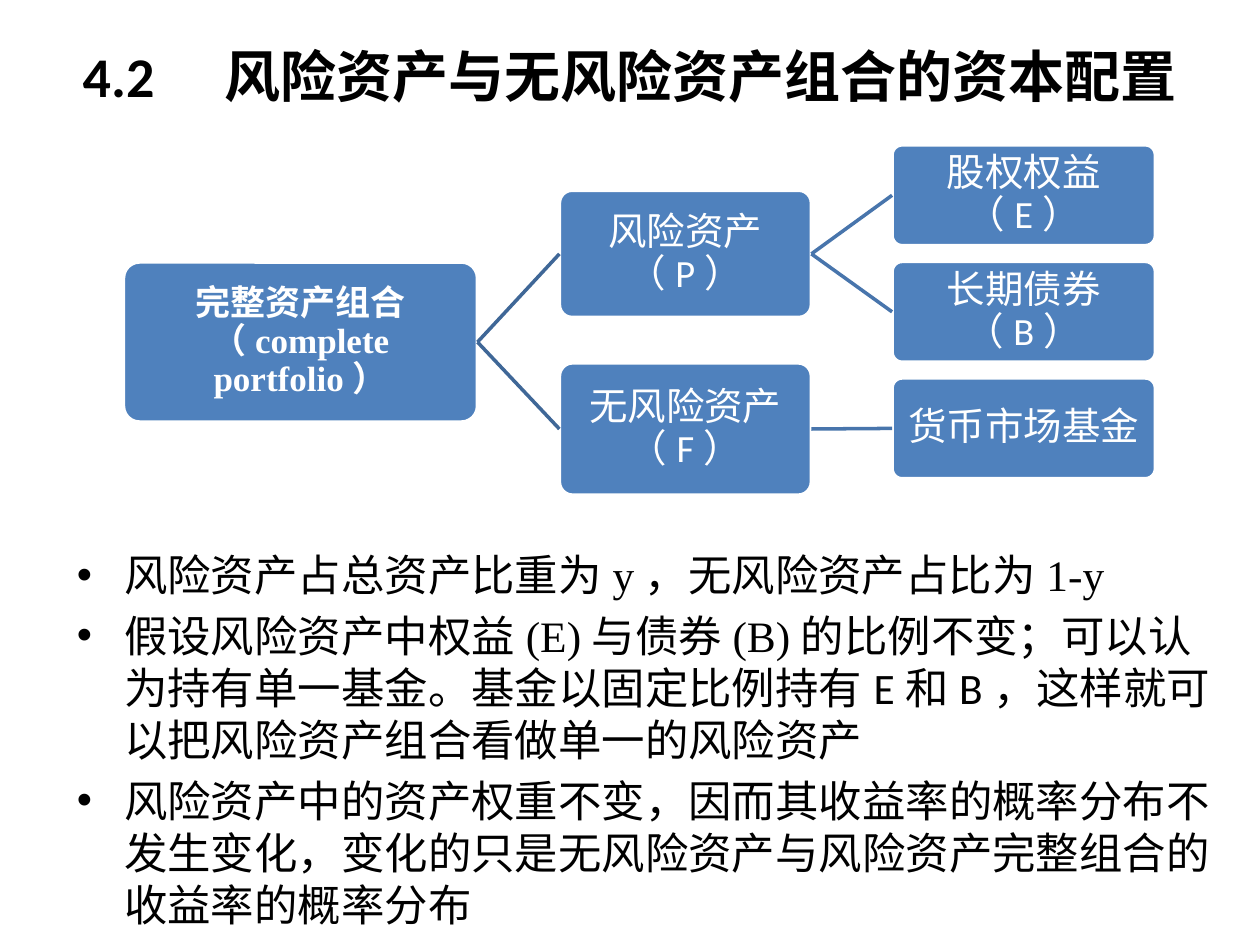
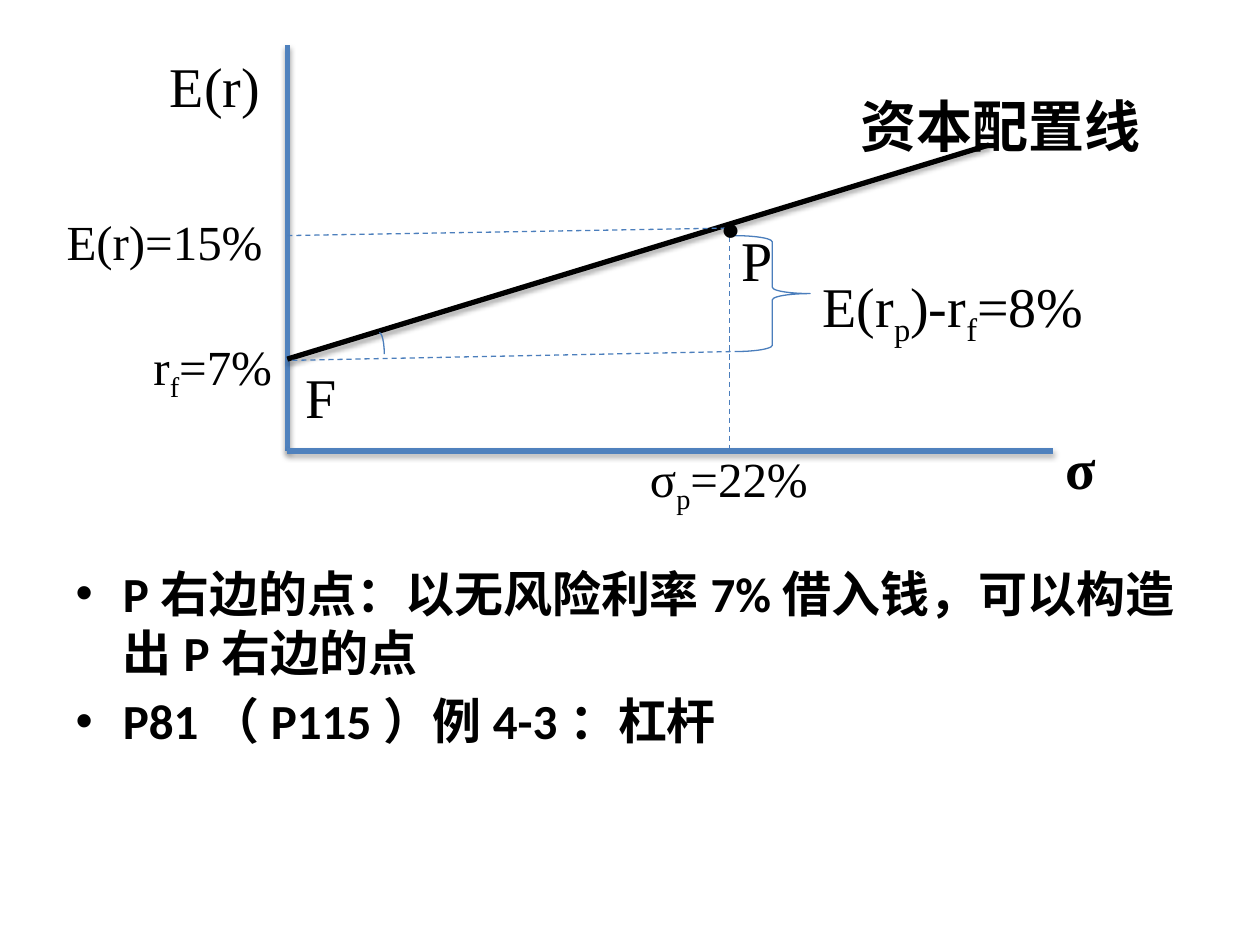
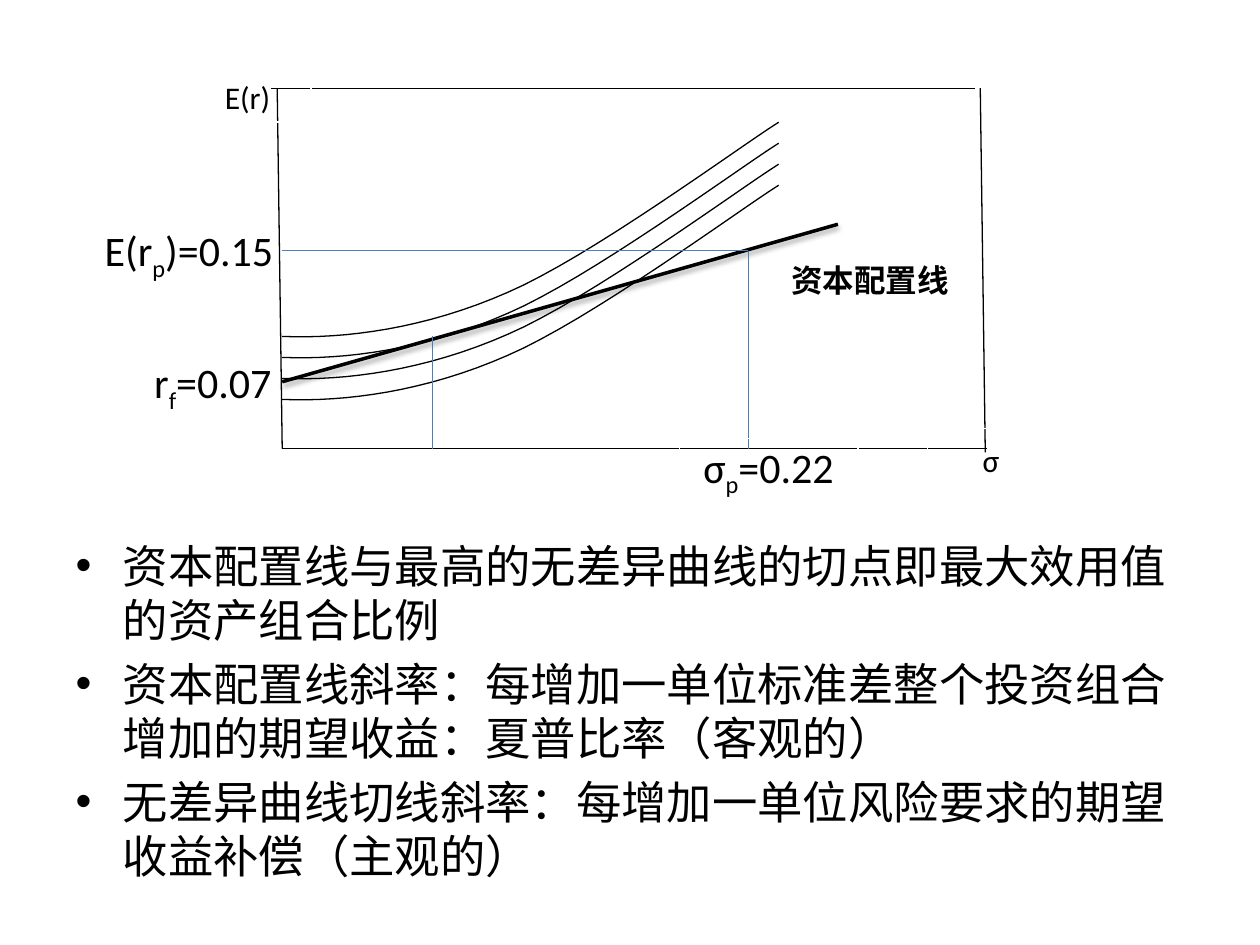
from dataclasses import dataclass

from lxml import etree
from pptx import Presentation
from pptx.dml.color import RGBColor
from pptx.enum.dml import MSO_LINE
from pptx.enum.shapes import MSO_CONNECTOR, MSO_SHAPE
from pptx.enum.text import MSO_ANCHOR, MSO_AUTO_SIZE, PP_ALIGN
from pptx.oxml.ns import qn
from pptx.util import Inches, Pt

STRAIGHT = MSO_CONNECTOR.STRAIGHT
DASH = MSO_LINE.DASH
ROUNDED, RECTANGLE = MSO_SHAPE.ROUNDED_RECTANGLE, MSO_SHAPE.RECTANGLE
BRACE, ARC = MSO_SHAPE.RIGHT_BRACE, MSO_SHAPE.ARC
MIDDLE, TOP = MSO_ANCHOR.MIDDLE, MSO_ANCHOR.TOP
CENTER, LEFT = PP_ALIGN.CENTER, PP_ALIGN.LEFT
NO_FIT, GROW = MSO_AUTO_SIZE.NONE, MSO_AUTO_SIZE.SHAPE_TO_FIT_TEXT

# The slide is a grid of 10 columns by 7.5 rows
SLIDE_WIDTH, SLIDE_HEIGHT = Inches(10), Inches(7.5)
COLUMN, ROW = SLIDE_WIDTH / 10, SLIDE_HEIGHT / 7.5
LEFT_SIDE, RIGHT_SIDE = 1, 3  # connection sites of a box


@dataclass(frozen=True)
class Theme:
    sans: str = "Calibri"
    serif: str = "Times New Roman"
    ink: RGBColor = RGBColor(0x00, 0x00, 0x00)
    paper: RGBColor = RGBColor(0xFF, 0xFF, 0xFF)
    blue: RGBColor = RGBColor(0x4F, 0x81, 0xBD)
    guide: RGBColor = RGBColor(0x4B, 0x7E, 0xBC)
    root_link: RGBColor = RGBColor(0x3F, 0x67, 0x97)
    branch_link: RGBColor = RGBColor(0x48, 0x75, 0xAC)
    title: float = 32
    large: float = 32
    medium: float = 28
    label: float = 24
    node: float = 22
    root: float = 20
    small: float = 18
    dot: float = 66
    thin: float = 0.75
    link: float = 2
    thick: float = 3


THEME = Theme()


@dataclass(frozen=True)
class Frame:
    """A box on the slide grid, in columns and rows."""
    left: float
    top: float
    width: float
    height: float

    def point(self, x, y):
        return round((self.left + x) * COLUMN), round((self.top + y) * ROW)

    def box(self, x, y, width, height):
        return (*self.point(x, y), round(width * COLUMN), round(height * ROW))


# ---- Shared parts ----
def write(paragraph, text, size, color=THEME.ink, bold=False,
          fonts=(THEME.sans, THEME.serif), align=LEFT):
    """Write text in which | switches the font and _ lowers the next letter."""
    paragraph.alignment = align
    paragraph.font.size = Pt(size)
    paragraph.font.bold = bold
    paragraph.font.color.rgb = color
    paragraph.font.name = fonts[0]
    for index, part in enumerate(text.split("|")):
        first, *lowered = part.split("_")
        pieces = [(first, False)]
        for piece in lowered:
            pieces += [(piece[0], True), (piece[1:], False)]
        for piece, is_subscript in pieces:
            if not piece:
                continue
            run = paragraph.add_run()
            run.text = piece
            if index % 2:
                run.font.name = fonts[1]
            if is_subscript:
                run._r.get_or_add_rPr().set("baseline", "-25000")


def add_line(slide, frame, start, end, color, width, dashed=False, shadow=False):
    line = slide.shapes.add_connector(
        STRAIGHT, *frame.point(*start), *frame.point(*end))
    line.line.color.rgb = color
    line.line.width = Pt(width)
    if dashed:
        line.line.dash_style = DASH
    set_effects(line, shadow)
    return line


def set_effects(line, shadow):
    effects = etree.SubElement(line._element.spPr, qn("a:effectLst"))
    if shadow:
        outer = etree.SubElement(
            effects, qn("a:outerShdw"), blurRad=str(Pt(3.1)),
            dist=str(Pt(1.8)), dir="5400000", rotWithShape="0")
        color = etree.SubElement(outer, qn("a:srgbClr"), val="000000")
        etree.SubElement(color, qn("a:alpha"), val="35000")


def add_outline(slide, kind, box, color):
    shape = slide.shapes.add_shape(kind, *box)
    shape.shadow.inherit = False
    shape.fill.background()
    shape.line.color.rgb = color
    shape.line.width = Pt(THEME.thin)
    return shape


def add_text(slide, box, text, size, font, bold=False):
    text_frame = slide.shapes.add_textbox(*box).text_frame
    text_frame.word_wrap = True
    text_frame.auto_size = GROW
    write(text_frame.paragraphs[0], text, size, bold=bold, fonts=(font, font))


def add_framed_label(slide, box, text, size):
    shape = add_outline(slide, RECTANGLE, box, THEME.paper)
    text_frame = shape.text_frame
    text_frame.word_wrap = True
    text_frame.vertical_anchor = MIDDLE
    write(text_frame.paragraphs[0], text, size, align=CENTER)


def place(shape, frame):
    shape.left, shape.top, shape.width, shape.height = frame.box(
        0, 0, frame.width, frame.height)


def fill_body(slide, frame, items, size, bold=False):
    body = slide.placeholders[1]
    place(body, frame)
    text_frame = body.text_frame
    text_frame.auto_size = NO_FIT
    text_frame.vertical_anchor = TOP
    for index, item in enumerate(items):
        paragraph = text_frame.add_paragraph() if index else text_frame.paragraphs[0]
        write(paragraph, item, size, bold=bold)


def new_slide(presentation, title=None):
    slide = presentation.slides.add_slide(presentation.slide_layouts[1])
    heading = slide.shapes.title
    if title is None:
        heading._element.getparent().remove(heading._element)
    else:
        place(heading, Frame(0.5, -0.03, 9, 1.25))
        heading.text_frame.auto_size = NO_FIT
        heading.text_frame.vertical_anchor = MIDDLE
        write(heading.text_frame.paragraphs[0], title, THEME.title,
              bold=True, align=CENTER)
    return slide


# ---- Tree of assets ----
def add_node(slide, box, text, size=THEME.node, bold=False):
    node = slide.shapes.add_shape(ROUNDED, *box)
    node.adjustments[0] = 0.1
    node.shadow.inherit = False
    node.fill.solid()
    node.fill.fore_color.rgb = THEME.blue
    node.line.color.rgb = THEME.paper
    node.line.width = Pt(THEME.link)
    text_frame = node.text_frame
    text_frame.word_wrap = True
    text_frame.vertical_anchor = MIDDLE
    text_frame.margin_left = text_frame.margin_right = Inches(0.05)
    text_frame.margin_top = text_frame.margin_bottom = Inches(0.05)
    paragraph = text_frame.paragraphs[0]
    paragraph.line_spacing = 0.9
    write(paragraph, text, size, THEME.paper, bold, align=CENTER)
    return node


def link_nodes(slide, frame, parent, child, color):
    link = add_line(slide, frame, (0, 0), (1, 1), color, THEME.link)
    link.begin_connect(parent, RIGHT_SIDE)
    link.end_connect(child, LEFT_SIDE)


def asset_tree(slide, frame):
    root = add_node(slide, frame.box(0, 0.93, 2.81, 1.27),
                    "完整资产组合|（complete portfolio|）", THEME.root, True)
    branches = [
        ("风险资产（P）", 0.36, 1.01, ["股权权益（E）", "长期债券（B）"]),
        ("无风险资产（F）", 1.73, 1.05, ["货币市场基金"]),
    ]
    leaf_height, leaf_step = 0.8, 0.925
    leaf_top = 0
    for name, top, height, leaves in branches:
        branch = add_node(slide, frame.box(3.46, top, 2, height), name)
        link_nodes(slide, frame, root, branch, THEME.root_link)
        for leaf_name in leaves:
            leaf = add_node(
                slide, frame.box(6.1, leaf_top, 2.09, leaf_height), leaf_name)
            link_nodes(slide, frame, branch, leaf, THEME.branch_link)
            leaf_top += leaf_step


# ---- Capital allocation line ----
def allocation_chart(slide, frame):
    corner = (0, frame.height)
    risky_x, risky_y = 3.51, 1.45

    # Axes and allocation line
    for start, end, color in [
        ((0, 0), corner, THEME.blue),
        (corner, (frame.width, frame.height), THEME.blue),
        ((0, 2.49), (5.57, 0.79), THEME.ink),
    ]:
        add_line(slide, frame, start, end, color, THEME.thick, shadow=True)

    # Dashed guides
    for start, end in [
        ((0, 1.51), (risky_x, risky_y)),
        ((risky_x, risky_y), (risky_x, frame.height)),
        ((0.04, 2.5), (3.55, 2.43)),
    ]:
        add_line(slide, frame, start, end, THEME.guide, THEME.thin, dashed=True)

    # Brace for the premium, arc for the slope
    add_outline(slide, BRACE, frame.box(3.55, 1.51, 0.6, 0.92), THEME.guide)
    add_outline(slide, ARC, frame.box(0.69, 2.28, 0.08, 0.34), THEME.guide)

    # Labels
    large, medium = (THEME.large, 0.53), (THEME.medium, 0.48)
    for text, x, y, width, (size, height), bold in [
        ("E(r)", -1.03, 0, 1.29, large, False),
        ("σ", frame.width, 3.03, 1.29, large, True),
        ("E(r)=15%", -1.85, 1.27, 1.93, medium, False),
        ("r_f=7%", -1.16, 2.26, 1.93, medium, False),
        ("P", risky_x, 1.38, 1.29, large, False),
        ("F", 0.05, 2.47, 1.29, large, False),
        ("E(r_p)-r_f=8%", 4.15, 1.75, 3.21, large, False),
        ("σ_p=22%", 2.78, 3.15, 1.76, medium, False),
        ("资本配置线", 4.45, 0.32, 2.88, large, True),
    ]:
        add_text(slide, frame.box(x, y, width, height), text, size,
                 THEME.serif, bold)
    add_text(slide, frame.box(3.31, 0.56, 0.27, 1.21), ".", THEME.dot, THEME.sans)


# ---- Indifference curves ----
def bezier(start, first, second, end, steps=16):
    """Points along a cubic curve, without its start."""
    points = []
    for step in range(1, steps + 1):
        t = step / steps
        weights = ((1 - t) ** 3, 3 * t * (1 - t) ** 2, 3 * t * t * (1 - t), t ** 3)
        points.append(tuple(
            sum(weight * value for weight, value in zip(weights, values))
            for values in zip(start, first, second, end)))
    return points


def add_curve(slide, frame, drop):
    start, bend, end = (0, 1.97), (1.79, 1.62), (3.94, 0.27)
    points = bezier(start, (0.5, 1.99), (1.13, 1.91), bend)
    points += bezier(bend, (2.44, 1.34), (3.58, 0.5), end)
    builder = slide.shapes.build_freeform(*frame.point(0, start[1] + drop))
    builder.add_line_segments(
        [frame.point(x, y + drop) for x, y in points], close=False)
    curve = builder.convert_to_shape()
    curve.shadow.inherit = False
    curve.fill.background()
    curve.line.color.rgb = THEME.ink
    curve.line.width = Pt(THEME.thin)


def indifference_chart(slide, frame):
    bottom = frame.height
    risky_x, risky_y = 3.7, 1.29

    # Return labels lie under the axes
    add_framed_label(slide, frame.box(-1.18, 2.11, 1.26, 0.5), "r_f=0.07", THEME.label)
    add_framed_label(slide, frame.box(-1.57, 1.06, 1.66, 0.5), "E(r_p)=0.15", THEME.label)

    # Four sides of the plot
    for start, end in [
        ((-0.04, 0), (0, bottom)),
        ((0, bottom), (5.59, bottom)),
        ((5.54, 0), (5.58, 2.89)),
        ((-0.09, 0), (5.5, 0)),
    ]:
        add_line(slide, frame, start, end, THEME.ink, THEME.thin)
    add_framed_label(slide, frame.box(-0.78, -0.13, 1.01, 0.4), "E(r)", THEME.small)
    add_framed_label(slide, frame.box(5.12, 2.7, 1.01, 0.5), "σ", THEME.small)

    # Allocation line and evenly spaced curves
    add_line(slide, frame, (0, 2.33), (4.41, 1.08), THEME.ink, THEME.link, shadow=True)
    for index in range(4):
        add_curve(slide, frame, index / 6)

    # Guides
    for start, end in [
        ((0, risky_y), (risky_x, risky_y)),
        ((risky_x, risky_y), (risky_x, bottom)),
        ((1.19, 1.97), (1.19, bottom)),
    ]:
        add_line(slide, frame, start, end, THEME.guide, THEME.thin)
    add_framed_label(slide, frame.box(3.15, 2.78, 1.42, 0.5), "σ_p=0.22", THEME.label)
    add_text(slide, frame.box(3.94, 1.32, 1.56, 0.4), "资本配置线",
             THEME.small, THEME.sans, True)


# ---- Slides ----
def tree_slide(presentation):
    slide = new_slide(presentation, "4.2\u3000风险资产与无风险资产组合的资本配置")
    asset_tree(slide, Frame(0.98, 1.15, 8.19, 2.78))
    fill_body(slide, Frame(0.51, 4.3, 9.21, 2.76), [
        "风险资产占总资产比重为|y|，无风险资产占比为|1-y",
        "假设风险资产中权益|(E)|与债券|(B)|的比例不变；可以认为持有单一基金。"
        "基金以固定比例持有E和B，这样就可以把风险资产组合看做单一的风险资产",
        "|风险资产中的资产权重不变，因而其收益率的概率分布不发生变化，"
        "变化的只是无风险资产与风险资产完整组合的收益率的概率分布",
    ], 24.8)


def allocation_slide(presentation):
    slide = new_slide(presentation)
    fill_body(slide, Frame(0.5, 4.42, 9, 3.19), [
        "P右边的点：以无风险利率7%借入钱，可以构造出P右边的点",
        "P81（P115）例4-3：杠杆",
    ], THEME.medium, bold=True)
    allocation_chart(slide, Frame(2.28, 0.36, 6.08, 3.22))


def indifference_slide(presentation):
    slide = new_slide(presentation)
    fill_body(slide, Frame(0.5, 4.22, 9.07, 2.76), [
        "资本配置线与最高的无差异曲线的切点即最大效用值的资产组合比例",
        "资本配置线斜率：每增加一单位标准差整个投资组合增加的期望收益：夏普比率（客观的）",
        "无差异曲线切线斜率：每增加一单位风险要求的期望收益补偿（主观的）",
    ], 25.9)
    indifference_chart(slide, Frame(2.24, 0.7, 5.58, 2.86))


presentation = Presentation()
presentation.slide_width, presentation.slide_height = SLIDE_WIDTH, SLIDE_HEIGHT
tree_slide(presentation)
allocation_slide(presentation)
indifference_slide(presentation)
presentation.save("out.pptx")
